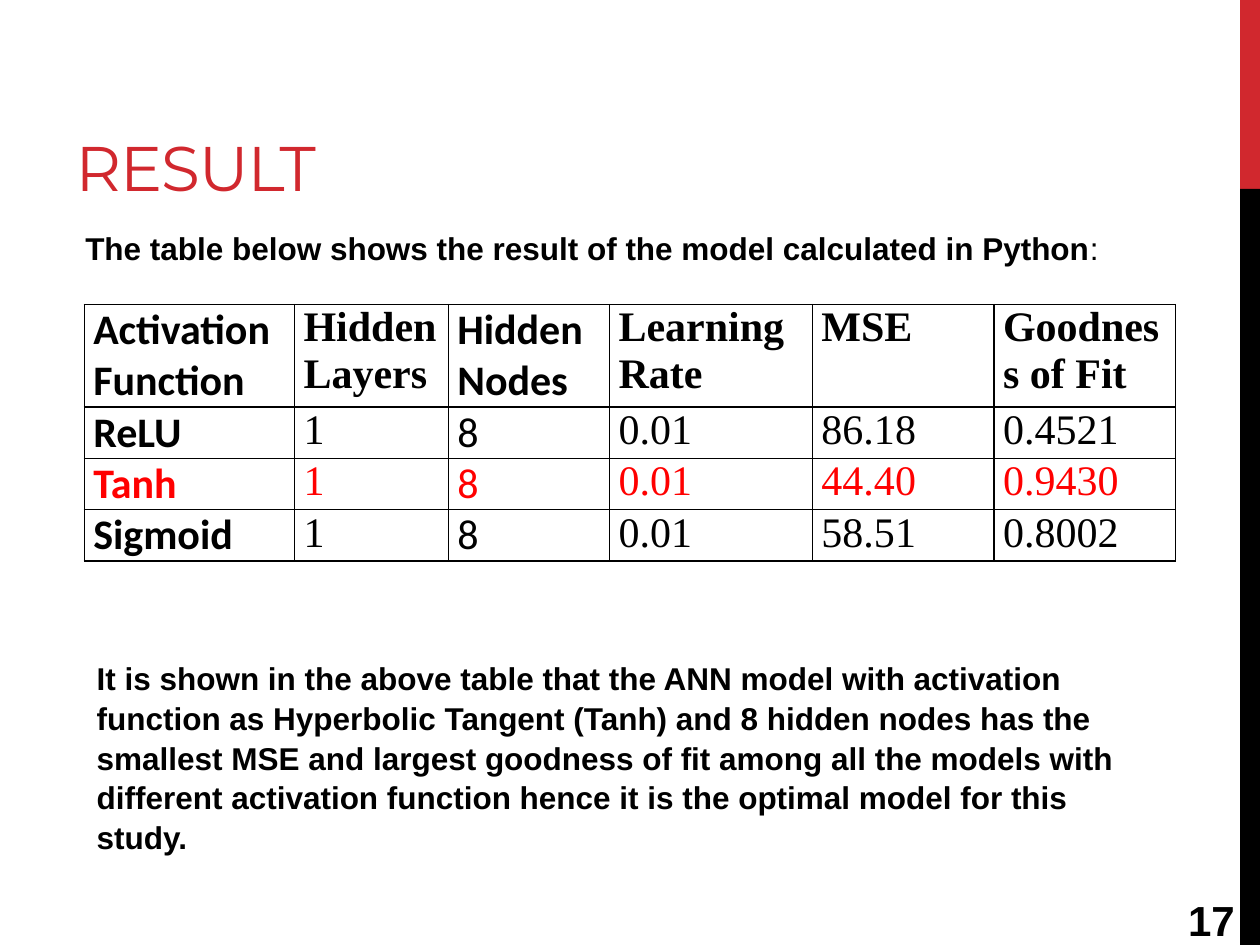
"""Build the result slide comparing the activation functions."""
from lxml.etree import SubElement
from pptx import Presentation
from pptx.dml.color import RGBColor as RGB
from pptx.enum.shapes import MSO_SHAPE as SHAPE
from pptx.enum.text import MSO_ANCHOR as ANCHOR, PP_ALIGN as ALIGN
from pptx.oxml.ns import qn
from pptx.util import Cm, Pt

COLORS = {"red": "D1282E", "black": "000000", "white": "FFFFFF", "highlight": "FF0000"}
TITLE = "RESULT"
INTRO = [("The table below shows the result of the model calculated in Python", True), (":", False)]
CONCLUSION = [(
    "It is shown in the above table that the ANN model with activation function as "
    "Hyperbolic Tangent (Tanh) and 8 hidden nodes has the smallest MSE and largest "
    "goodness of fit among all the models with different activation function hence "
    "it is the optimal model for this study.", True)]
PAGE = [("17", True)]
ROWS = [
    ("Activation Function", "Hidden Layers", "Hidden Nodes", "Learning Rate", "MSE", "Goodness of Fit"),
    ("ReLU", "1", "8", "0.01", "86.18", "0.4521"),
    ("Tanh", "1", "8", "0.01", "44.40", "0.9430"),
    ("Sigmoid", "1", "8", "0.01", "58.51", "0.8002"),
]
BEST = "Tanh"
CALIBRI_COLS = (0, 2)
COL_WIDTHS = (4.24, 3.1, 3.25, 4.09, 3.66, 3.66)
ROW_HEIGHTS = (2.06, 1.03, 1.03, 1.03)
BARS = [("red", 0, 3.81), ("black", 3.81, 15.24)]
BOXES = [
    (PAGE, (23.7, 18.03, 1.7, 1.02), 24, ANCHOR.MIDDLE, 1),
    (CONCLUSION, (1.7, 13.13, 21.16, 4.11), 18, ANCHOR.TOP, 1.05),
    (INTRO, (1.47, 4.45, 22.43, 1.02), 18, ANCHOR.TOP, 1.05),
]


def write(p, text, font="Arial", size=18, color="black", bold=False):
    r = p.add_run()
    r.text = text
    r.font.name, r.font.size, r.font.bold = font, Pt(size), bold
    r.font.color.rgb = RGB.from_string(COLORS[color])
    return r


def paint(fill, color):
    fill.solid()
    fill.fore_color.rgb = RGB.from_string(COLORS[color])


def add_borders(cell):
    tcPr = cell._tc.get_or_add_tcPr()
    for i, side in enumerate(("lnL", "lnR", "lnT", "lnB")):
        ln = tcPr.makeelement(qn(f"a:{side}"), {"w": str(Pt(1))})
        fill = SubElement(ln, qn("a:solidFill"))
        SubElement(fill, qn("a:srgbClr"), val=COLORS["black"])
        tcPr.insert(i, ln)


def add_bars(s):
    for color, top, height in BARS:
        sp = s.shapes.add_shape(SHAPE.RECTANGLE, Cm(25), Cm(top), Cm(0.4), Cm(height))
        sp.shadow.inherit = False
        sp.line.fill.background()
        paint(sp.fill, color)


def add_title(s):
    sp = s.shapes.title
    sp.left, sp.top, sp.width, sp.height = Cm(1.27), Cm(0.43), Cm(16.08), Cm(3.81)
    tf = sp.text_frame
    tf.vertical_anchor = ANCHOR.BOTTOM
    p = tf.paragraphs[0]
    p.alignment = ALIGN.LEFT
    r = write(p, TITLE, font="Montserrat", size=36, color="red")
    r.font._element.set("spc", "-60")


def add_results(s):
    table = s.shapes.add_table(len(ROWS), len(COL_WIDTHS), Cm(1.7), Cm(6.14),
                               Cm(sum(COL_WIDTHS)), Cm(sum(ROW_HEIGHTS))).table
    table.first_row = table.horz_banding = False
    for col, width in zip(table.columns, COL_WIDTHS):
        col.width = Cm(width)
    for i, (row, height) in enumerate(zip(ROWS, ROW_HEIGHTS)):
        table.rows[i].height = Cm(height)
        for j, text in enumerate(row):
            cell = table.cell(i, j)
            cell.margin_left = cell.margin_right = Cm(0.18)
            cell.margin_top = cell.margin_bottom = 0
            paint(cell.fill, "white")
            add_borders(cell)
            write(cell.text_frame.paragraphs[0], text, size=24, bold=i == 0 or j == 0,
                  font="Calibri" if j in CALIBRI_COLS else "Times New Roman",
                  color="highlight" if row[0] == BEST else "black")


def add_boxes(s):
    for runs, place, size, anchor, spacing in BOXES:
        tf = s.shapes.add_textbox(*map(Cm, place)).text_frame
        tf.word_wrap = True
        tf.vertical_anchor = anchor
        p = tf.paragraphs[0]
        p.line_spacing = spacing
        for text, bold in runs:
            write(p, text, size=size, bold=bold)


def main():
    prs = Presentation()
    prs.slide_width, prs.slide_height = Cm(25.4), Cm(19.05)
    s = prs.slides.add_slide(prs.slide_layouts[5])
    add_bars(s)
    add_title(s)
    add_results(s)
    add_boxes(s)
    prs.save("out.pptx")


if __name__ == "__main__":
    main()
